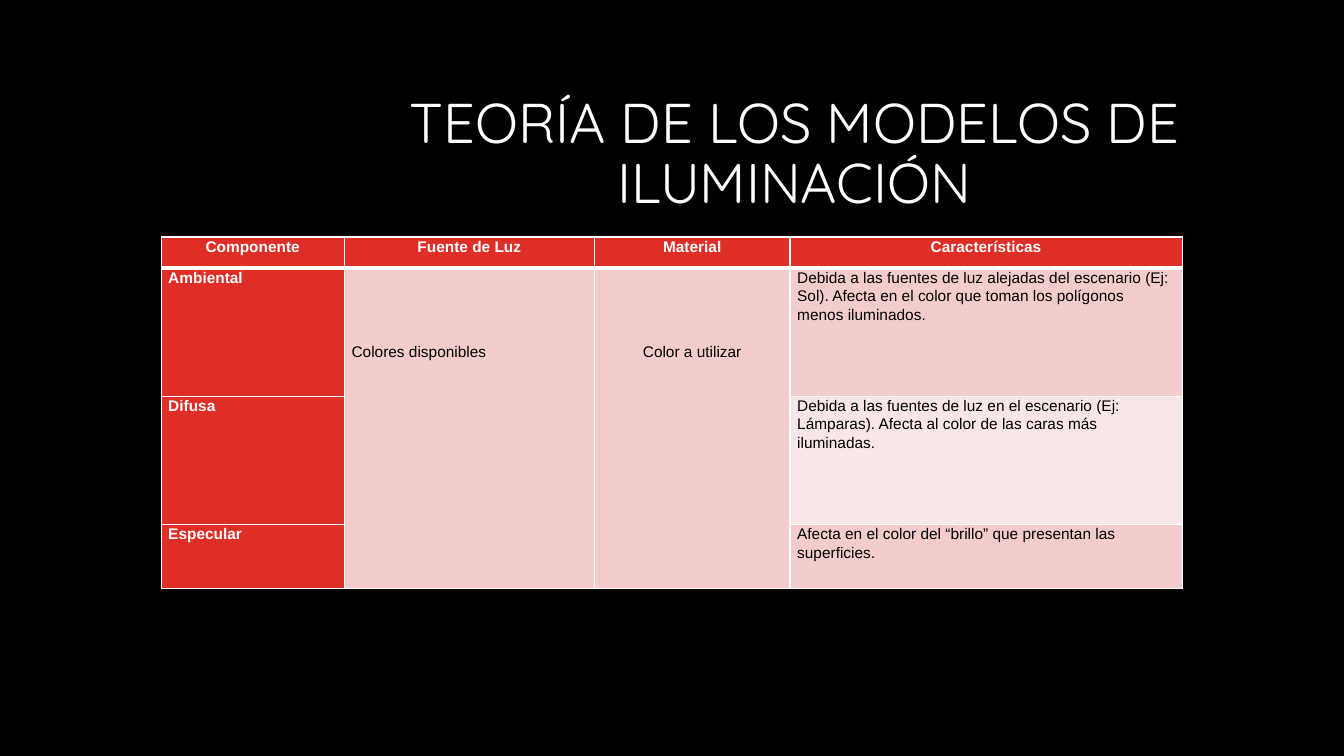
from dataclasses import dataclass

from lxml import etree
from pptx import Presentation
from pptx.dml.color import RGBColor
from pptx.enum import text as t
from pptx.oxml import ns
from pptx.util import Cm, Pt


@dataclass(frozen=True)
class Theme:
    background: str = "000000"
    light: str = "FFFFFF"
    dark: str = "000000"
    accent: str = "DF2E28"
    band: str = "F3CCCB"
    pale_band: str = "F9E7E7"
    title_font: str = "Quicksand"
    body_font: str = "Arial"
    title_size: int = 40
    body_size: int = 11
    thin_line: int = 1
    thick_line: int = 3


THEME = Theme()
CENTER, LEFT = t.PP_ALIGN.CENTER, t.PP_ALIGN.LEFT

TITLE = "TEORÍA DE LOS MODELOS DE ILUMINACIÓN"
ROWS = [
    ["Componente", "Fuente de Luz", "Material", "Características"],
    ["Ambiental", "Colores disponibles", "Color a utilizar",
     "Debida a las fuentes de luz alejadas del escenario (Ej: Sol). "
     "Afecta en el color que toman los polígonos menos iluminados."],
    ["Difusa", "", "",
     "Debida a las fuentes de luz en el escenario (Ej: Lámparas). "
     "Afecta al color de las caras más iluminadas."],
    ["Especular", "", "",
     "Afecta en el color del “brillo” que presentan las superficies."],
]
COLUMN_WIDTHS = [4.62, 6.3, 4.93, 9.88]
ROW_HEIGHTS = [0.79, 3.23, 3.23, 1.6]
SHARED_COLUMNS = (1, 2)
SHARED_TEXT_DROP = 1.86


def set_attributes(target, values):
    for name, value in values.items():
        setattr(target, name, value)


def write(frame, words, alignment, line_spacing, font, color):
    paragraph = frame.paragraphs[0]
    set_attributes(paragraph, {"alignment": alignment, "line_spacing": line_spacing,
                               "space_before": Pt(0), "space_after": Pt(0)})
    run = paragraph.add_run()
    run.text = words
    set_attributes(run.font, font)
    run.font.color.rgb = RGBColor.from_string(color)


def add_borders(cell, widths):
    """Draw the four cell edges; widths maps L, R, T, B to points."""
    properties = cell._tc.get_or_add_tcPr()
    for side, width in widths.items():
        line = etree.SubElement(properties, ns.qn(f"a:ln{side}"), w=str(Pt(width)))
        fill = etree.SubElement(line, ns.qn("a:solidFill"))
        etree.SubElement(fill, ns.qn("a:srgbClr"), val=THEME.light)


def add_title(slide, left, top, width, height):
    title = slide.shapes.title
    set_attributes(title, {"left": Cm(left), "top": Cm(top),
                           "width": Cm(width), "height": Cm(height)})
    set_attributes(title.text_frame, {
        "word_wrap": True, "auto_size": t.MSO_AUTO_SIZE.NONE,
        "vertical_anchor": t.MSO_ANCHOR.MIDDLE})
    font = {"name": THEME.title_font, "size": Pt(THEME.title_size), "bold": False}
    write(title.text_frame, TITLE, CENTER, 0.9, font, THEME.light)


def format_cell(cell, row, column, words):
    heading = row == 0 or column == 0
    shared = row > 0 and column in SHARED_COLUMNS
    thin, thick = THEME.thin_line, THEME.thick_line
    add_borders(cell, {"L": thin, "R": thin,
                       "T": thick if row == 1 else thin,
                       "B": thick if row == 0 else thin})
    if heading:
        background = THEME.accent
    else:
        background = THEME.pale_band if row == 2 and not shared else THEME.band
    cell.fill.solid()
    cell.fill.fore_color.rgb = RGBColor.from_string(background)
    set_attributes(cell, {
        "margin_left": Cm(0.18), "margin_right": Cm(0.18), "margin_bottom": 0,
        "margin_top": Cm(SHARED_TEXT_DROP) if shared and words else 0,
        "vertical_anchor": t.MSO_ANCHOR.TOP})
    if words:
        font = {"name": THEME.body_font, "size": Pt(THEME.body_size), "bold": heading}
        centered = row == 0 or column == 2
        write(cell.text_frame, words, CENTER if centered else LEFT, 1.07, font,
              THEME.light if heading else THEME.dark)


def add_component_table(slide, left, top):
    frame = slide.shapes.add_table(
        len(ROWS), len(COLUMN_WIDTHS), Cm(left), Cm(top),
        Cm(sum(COLUMN_WIDTHS)), Cm(sum(ROW_HEIGHTS)))
    table = frame.table
    set_attributes(table, {"first_row": False, "horz_banding": False})
    for column, width in zip(table.columns, COLUMN_WIDTHS):
        column.width = Cm(width)
    for row, height in zip(table.rows, ROW_HEIGHTS):
        row.height = Cm(height)
    for column in SHARED_COLUMNS:
        table.cell(1, column).merge(table.cell(len(ROWS) - 1, column))
    for row, entries in enumerate(ROWS):
        for column, words in enumerate(entries):
            format_cell(table.cell(row, column), row, column, words)


def main():
    presentation = Presentation()
    set_attributes(presentation, {"slide_width": Cm(33.87), "slide_height": Cm(19.05)})
    slide = presentation.slides.add_slide(presentation.slide_layouts[5])
    slide.background.fill.solid()
    slide.background.fill.fore_color.rgb = RGBColor.from_string(THEME.background)
    add_title(slide, 8.05, 2.13, 23.93, 3.58)
    add_component_table(slide, 4.06, 5.97)
    presentation.save("out.pptx")


if __name__ == "__main__":
    main()
